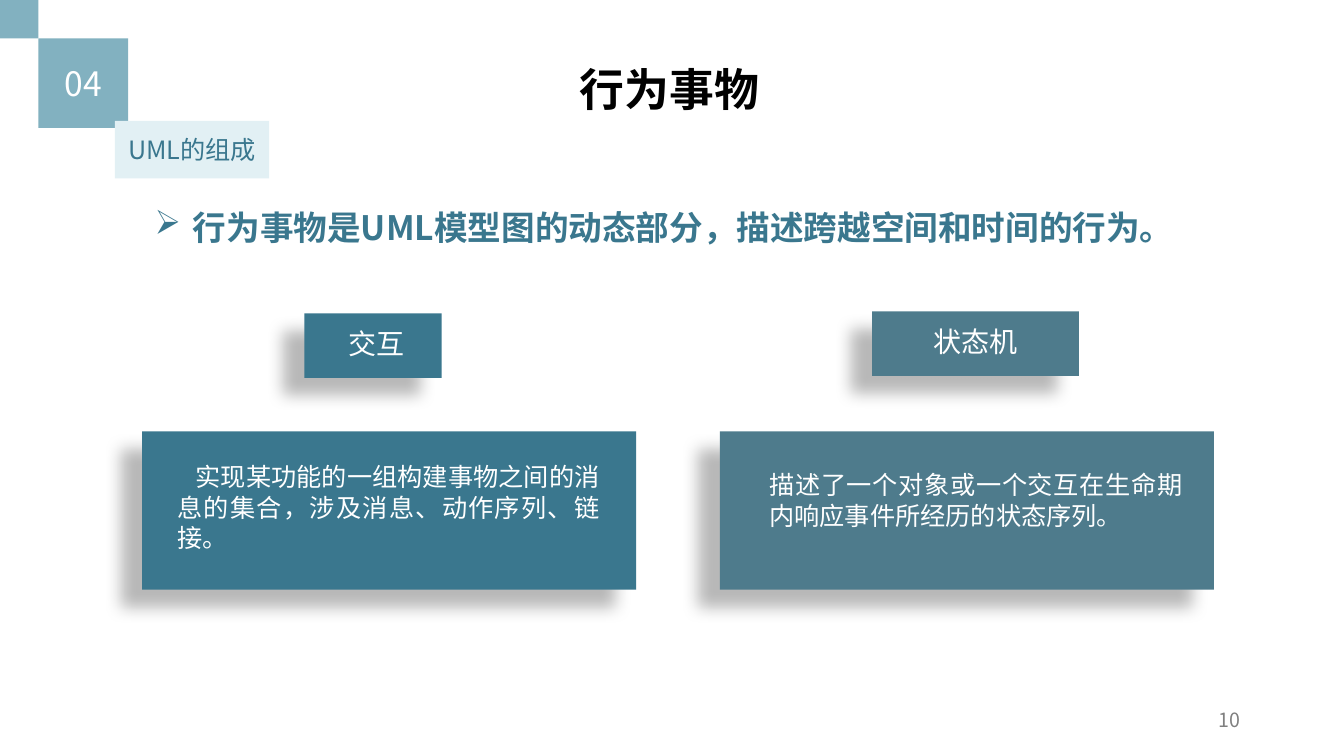
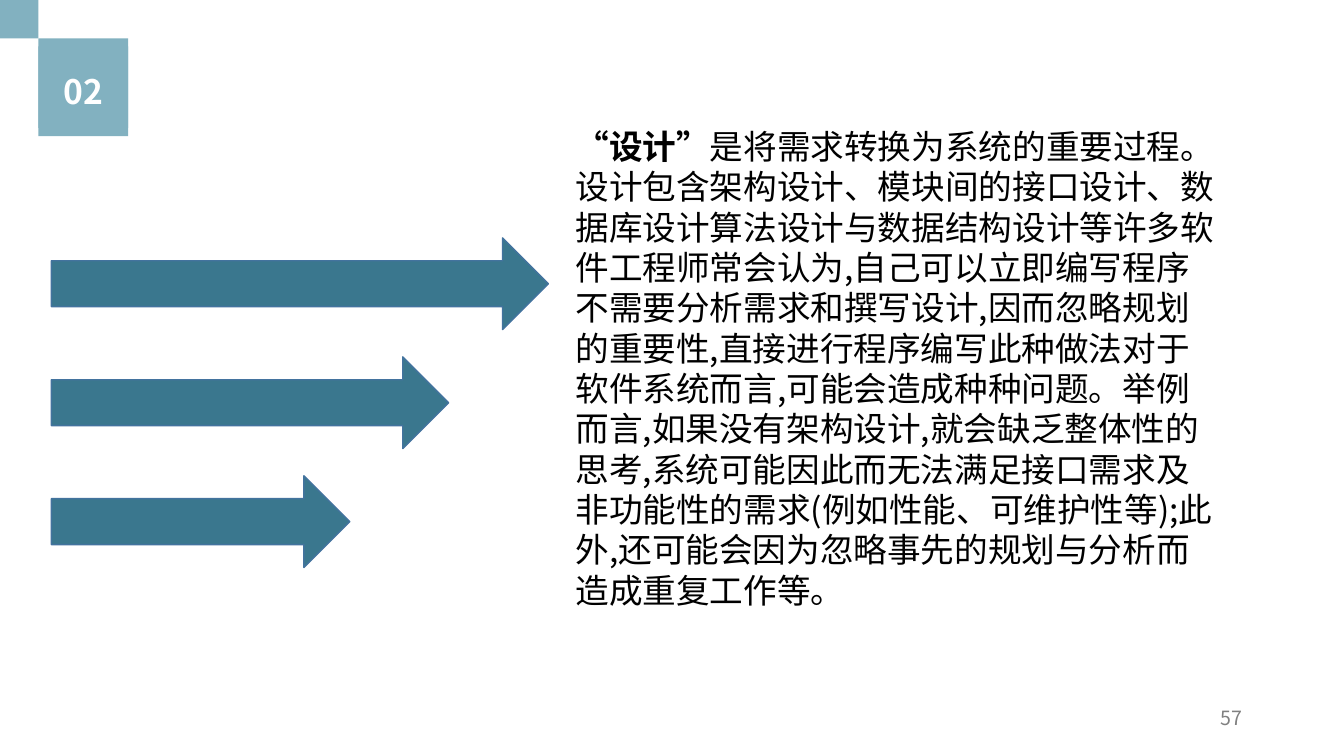
from lxml.etree import SubElement
from pptx import Presentation
from pptx.dml.color import RGBColor
from pptx.enum.lang import MSO_LANGUAGE_ID
from pptx.enum.shapes import MSO_SHAPE
from pptx.enum.text import MSO_ANCHOR, MSO_AUTO_SIZE, PP_ALIGN
from pptx.oxml.ns import qn
from pptx.util import Inches, Pt

FONT = "Noto Sans CJK SC"
LINE_HEIGHT = 1.2
WHITE = RGBColor(0xFF, 0xFF, 0xFF)
BLACK = RGBColor(0, 0, 0)
GREY = RGBColor(0x80, 0x80, 0x80)
TEAL = RGBColor(0x3A, 0x77, 0x8E)
SLATE = RGBColor(0x4E, 0x7B, 0x8C)
TILE = RGBColor(0x82, 0xB1, 0xC0)
PALE = RGBColor(0xE2, 0xF0, 0xF4)
ARROW_LINE = RGBColor(0x43, 0x73, 0x9E)

TITLE = "行为事物"
SECTION = "UML的组成"
SUMMARY = "行为事物是UML模型图的动态部分，描述跨越空间和时间的行为。"
THINGS = [
    {
        "label": "交互", "label_box": (3.02, 3.11, 1.36, 0.64),
        "label_margins": (0.07, 0, 0, 0.04), "color": TEAL,
        "text": "实现某功能的一组构建事物之间的消息的集合，涉及消息、动作序列、链接。",
        "card_left": 1.41, "card_margins": (0.35, 0.3, 0.36, 0), "indent": 0.18,
    },
    {
        "label": "状态机", "label_box": (8.65, 3.09, 2.05, 0.64),
        "label_margins": (0, 0, 0, 0.04), "color": SLATE,
        "text": "描述了一个对象或一个交互在生命期内响应事件所经历的状态序列。",
        "card_left": 7.14, "card_margins": (0.49, 0.38, 0.31, 0), "indent": 0,
    },
]
DESIGN_TERM = "“设计”"
DESIGN_TEXT = (
    "是将需求转换为系统的重要过程。设计包含架构设计、模块间的接口设计、"
    "数据库设计算法设计与数据结构设计等许多软件工程师常会认为,"
    "自己可以立即编写程序不需要分析需求和撰写设计,因而忽略规划的重要性,"
    "直接进行程序编写此种做法对于软件系统而言,可能会造成种种问题。"
    "举例而言,如果没有架构设计,就会缺乏整体性的思考,"
    "系统可能因此而无法满足接口需求及非功能性的需求(例如性能、可维护性等);"
    "此外,还可能会因为忽略事先的规划与分析而造成重复工作等。"
)
ARROW_WIDTHS = (4.93, 3.94, 2.96)
ARROW_LEFT, ARROW_TOP, ARROW_HEIGHT, ARROW_PITCH = 0.51, 2.36, 0.91, 1.18
CORNER_SIZE, BADGE_SIZE = 0.38, 0.89


def format_run(run, size, color, bold=False):
    run.font.size = Pt(size)
    run.font.name = FONT
    run.font.bold = bold
    run.font.color.rgb = color
    run.font.language_id = MSO_LANGUAGE_ID.SIMPLIFIED_CHINESE
    east_asian = SubElement(run.font._element, qn("a:ea"))
    east_asian.set("typeface", FONT)
    run.font._element.find(qn("a:latin")).addnext(east_asian)


def write(shape, text, size, color, bold=False, align=PP_ALIGN.CENTER,
          anchor=MSO_ANCHOR.TOP, margins=(0.1, 0.05, 0.1, 0.05)):
    frame = shape.text_frame
    frame.text = text
    frame.word_wrap = True
    frame.auto_size = MSO_AUTO_SIZE.NONE
    frame.vertical_anchor = anchor
    (frame.margin_left, frame.margin_top,
     frame.margin_right, frame.margin_bottom) = map(Inches, margins)
    paragraph = frame.paragraphs[0]
    paragraph.alignment = align
    paragraph.line_spacing = Pt(size * LINE_HEIGHT)
    format_run(paragraph.runs[0], size, color, bold)
    return paragraph


def add_block(shapes, box, color, kind=MSO_SHAPE.RECTANGLE):
    shape = shapes.add_shape(kind, *map(Inches, box))
    shape.shadow.inherit = False
    shape.fill.solid()
    shape.fill.fore_color.rgb = color
    shape.line.fill.background()
    return shape


def add_text(slide, box, text, size, color, **style):
    return write(slide.shapes.add_textbox(*map(Inches, box)), text, size, color, **style)


def cast_shadow(shape):
    effects = shape._element.spPr.find(qn("a:effectLst"))
    shadow = SubElement(effects, qn("a:outerShdw"), blurRad=str(Pt(11.8)),
                        dist=str(Pt(19.7)), dir=str(141 * 60000),
                        algn="tr", rotWithShape="0")
    color = SubElement(shadow, qn("a:srgbClr"), val=str(BLACK))
    SubElement(color, qn("a:alpha"), val="28000")


def set_indent(paragraph, first_line, left=0):
    properties = paragraph._p.get_or_add_pPr()
    properties.set("marL", str(Inches(left)))
    properties.set("indent", str(Inches(first_line)))
    return properties


def add_frame(slide, number, page, page_left, page_top, badge_tops, bold=False):
    add_block(slide.shapes, (0, 0, CORNER_SIZE, CORNER_SIZE), TILE)
    for top in badge_tops:
        badge = add_block(slide.shapes, (CORNER_SIZE, top, BADGE_SIZE, BADGE_SIZE), TILE)
    write(badge, number, 24, WHITE, bold, anchor=MSO_ANCHOR.MIDDLE)
    add_text(slide, (page_left, page_top, 3, 0.4), page, 14, GREY, align=PP_ALIGN.RIGHT)


def build_things(presentation):
    slide = presentation.slides.add_slide(presentation.slide_layouts[5])
    title = slide.shapes.title
    title.left, title.top, title.width, title.height = map(Inches, (1.72, 0.56, 9.84, 0.64))
    write(title, TITLE, 32, BLACK, bold=True)
    add_frame(slide, "04", "10", 9.4, 6.97, (0.38,))
    section = add_block(slide.shapes, (1.14, 1.2, 1.53, 0.57), PALE)
    write(section, SECTION, 18, TEAL, anchor=MSO_ANCHOR.MIDDLE, margins=(0, 0, 0, 0))

    summary = add_text(slide, (1.27, 2, 10.3, 0.5), SUMMARY, 24, TEAL, bold=True)
    properties = set_indent(summary, -0.38, 0.38)
    SubElement(properties, qn("a:buChar"), char="➢")

    for thing in THINGS:
        card = add_block(slide.shapes, (thing["card_left"], 4.28, 4.9, 1.57), thing["color"])
        paragraph = write(card, thing["text"], 18, WHITE, align=PP_ALIGN.JUSTIFY,
                          margins=thing["card_margins"])
        set_indent(paragraph, thing["indent"])
        label = add_block(slide.shapes, thing["label_box"], thing["color"])
        write(label, thing["label"], 20, WHITE, anchor=MSO_ANCHOR.MIDDLE,
              margins=thing["label_margins"])
        cast_shadow(card)
        cast_shadow(label)


def build_design(presentation):
    slide = presentation.slides.add_slide(presentation.slide_layouts[6])
    add_frame(slide, "02", "57", 9.42, 6.95, (0.38, 0.46), bold=True)
    arrows = slide.shapes.add_group_shape()
    for index, width in enumerate(ARROW_WIDTHS):
        top = ARROW_TOP + index * ARROW_PITCH
        arrow = add_block(arrows.shapes, (ARROW_LEFT, top, width, ARROW_HEIGHT),
                          TEAL, MSO_SHAPE.RIGHT_ARROW)
        arrow.line.color.rgb = ARROW_LINE
        arrow.line.width = Pt(1)
    paragraph = add_text(slide, (5.61, 1.2, 6.54, 4.95), DESIGN_TERM, 24, BLACK,
                         bold=True, align=PP_ALIGN.LEFT)
    run = paragraph.add_run()
    run.text = DESIGN_TEXT
    format_run(run, 24, BLACK)


def main():
    presentation = Presentation()
    presentation.slide_width = Inches(13.33)
    presentation.slide_height = Inches(7.5)
    build_things(presentation)
    build_design(presentation)
    presentation.save("out.pptx")


if __name__ == "__main__":
    main()
